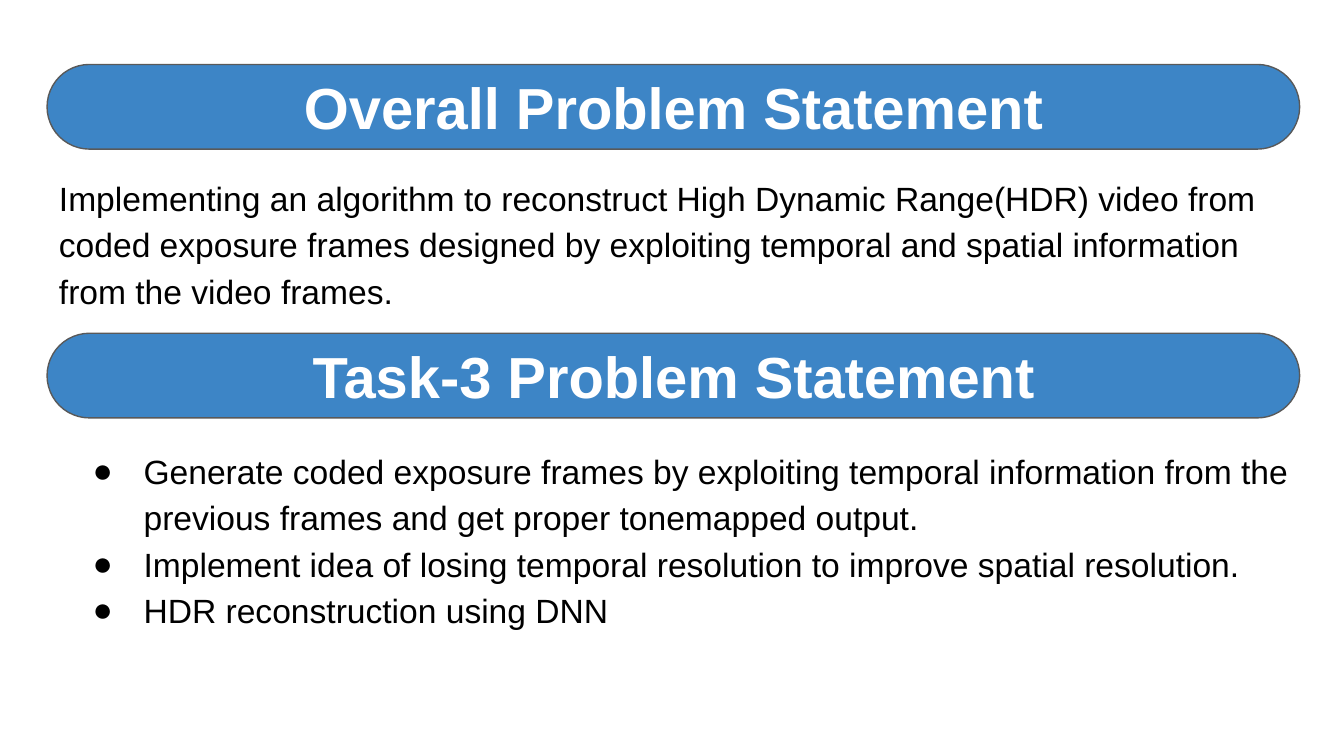
from lxml.etree import SubElement
from pptx import Presentation
from pptx.dml.color import RGBColor
from pptx.enum.shapes import MSO_SHAPE
from pptx.enum.text import MSO_ANCHOR, PP_ALIGN
from pptx.oxml.ns import qn
from pptx.util import Inches, Pt


def color(hex_code):
    return RGBColor.from_string(hex_code)


class SlideStyle:
    font = "Arial"
    blue, outline, black, white = "3D85C6", "595959", "000000", "FFFFFF"
    heading_size, body_size = 31, 18
    width, banner_height, inset = 9.32, 0.63, 0.1
    banner_left = 0.35

    def __init__(self, slide):
        self.slide = slide

    def prepare_frame(self, frame, anchor):
        frame.word_wrap = True
        frame.vertical_anchor = anchor
        frame.margin_left = frame.margin_right = Inches(self.inset)
        frame.margin_top = frame.margin_bottom = Inches(self.inset)

    def format_font(self, paragraph, size, hex_code, bold=False):
        font = paragraph.font
        font.name, font.size, font.bold = self.font, Pt(size), bold
        font.color.rgb = color(hex_code)

    def banner(self, text, top):
        pill = self.slide.shapes.add_shape(
            MSO_SHAPE.ROUNDED_RECTANGLE, Inches(self.banner_left), Inches(top),
            Inches(self.width), Inches(self.banner_height))
        pill.adjustments[0] = 0.5
        pill.shadow.inherit = False
        pill.fill.solid()
        pill.fill.fore_color.rgb = color(self.blue)
        pill.line.color.rgb = color(self.outline)
        pill.line.width = Pt(0.75)
        self.prepare_frame(pill.text_frame, MSO_ANCHOR.MIDDLE)
        heading = pill.text_frame.paragraphs[0]
        heading.text = text
        heading.alignment = PP_ALIGN.CENTER
        self.format_font(heading, self.heading_size, self.white, bold=True)

    def add_bullet(self, paragraph):
        properties = paragraph._p.get_or_add_pPr()
        properties.set("marL", str(Inches(0.5)))
        properties.set("indent", str(Inches(-0.38)))
        bullet_color = SubElement(properties, qn("a:buClr"))
        SubElement(bullet_color, qn("a:srgbClr"), val=self.black)
        SubElement(properties, qn("a:buFont"), typeface=self.font)
        SubElement(properties, qn("a:buChar"), char="●")

    def body(self, texts, left, top, height, space_after=0, bulleted=False):
        box = self.slide.shapes.add_textbox(
            Inches(left), Inches(top), Inches(self.width), Inches(height))
        frame = box.text_frame
        self.prepare_frame(frame, MSO_ANCHOR.TOP)
        for index, text in enumerate(texts):
            paragraph = frame.add_paragraph() if index else frame.paragraphs[0]
            paragraph.text = text
            paragraph.line_spacing = 1.15
            paragraph.space_after = Pt(space_after)
            if bulleted:
                self.add_bullet(paragraph)
            self.format_font(paragraph, self.body_size, self.black)


def main():
    presentation = Presentation()
    presentation.slide_width = Inches(10)
    presentation.slide_height = Inches(10 * 9 / 16)
    blank = presentation.slide_layouts[6]
    style = SlideStyle(presentation.slides.add_slide(blank))

    # Overall problem
    style.body(
        ["Implementing an algorithm to reconstruct High Dynamic Range(HDR) "
         "video from coded exposure frames designed by exploiting temporal "
         "and spatial information from the video frames."],
        left=0.34, top=1.18, height=1.33, space_after=12)
    style.banner("Overall Problem Statement", top=0.48)

    # Task 3
    style.body(
        ["Generate coded exposure frames by exploiting temporal information "
         "from the previous frames and get proper tonemapped output.",
         "Implement idea of losing temporal resolution to improve spatial "
         "resolution.",
         "HDR reconstruction using DNN"],
        left=0.47, top=3.21, height=2.14, bulleted=True)
    style.banner("Task-3 Problem Statement", top=2.48)

    presentation.save("out.pptx")


if __name__ == "__main__":
    main()
